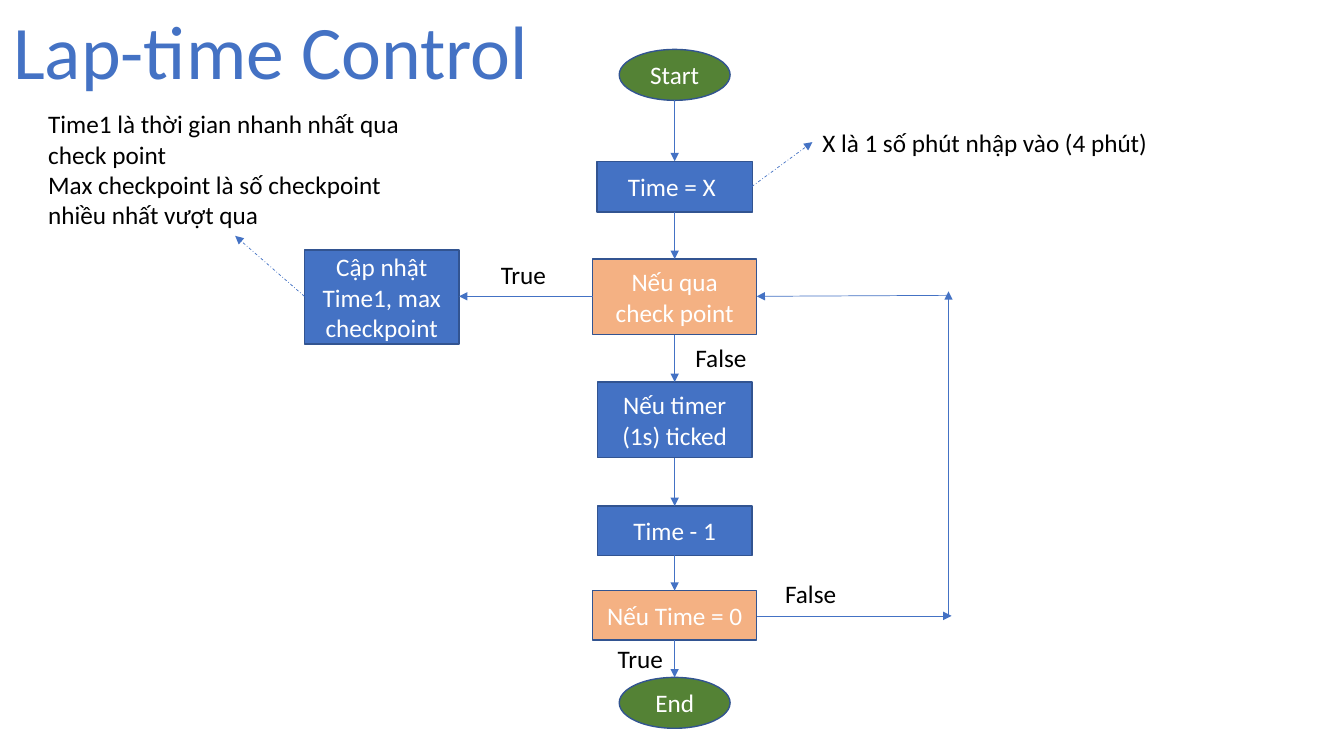
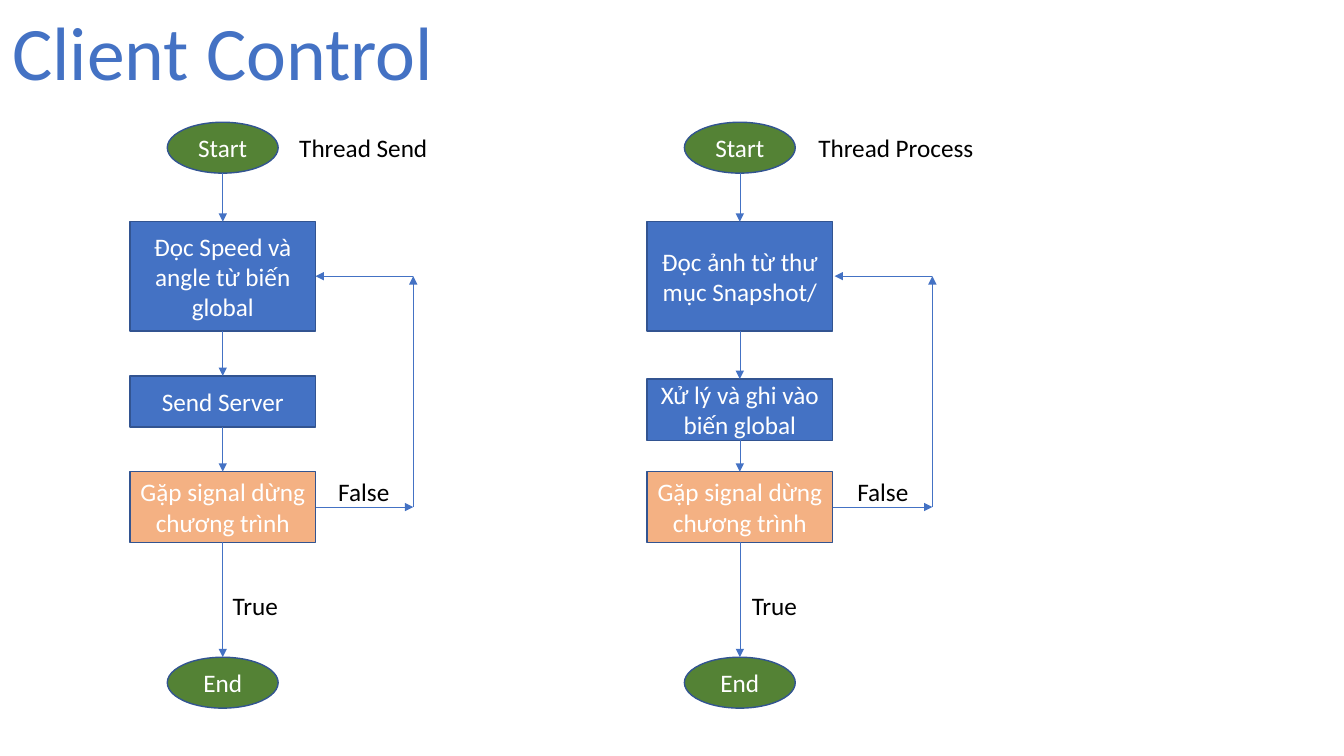
"""Build the lap-time and client control flowcharts."""
from itertools import pairwise

from lxml.etree import SubElement
from pptx import Presentation
from pptx.dml.color import RGBColor
from pptx.enum.dml import MSO_LINE
from pptx.enum.shapes import MSO_CONNECTOR, MSO_SHAPE
from pptx.enum.text import MSO_ANCHOR, MSO_AUTO_SIZE, PP_ALIGN
from pptx.oxml.ns import qn
from pptx.util import Inches, Pt

SLIDE_WIDTH, SLIDE_HEIGHT = Inches(13.333), Inches(7.5)
COLUMN, ROW = SLIDE_WIDTH / 40, SLIDE_HEIGHT / 30

BLUE = RGBColor(0x44, 0x72, 0xC4)
NAVY = RGBColor(0x32, 0x54, 0x91)
GREEN = RGBColor(0x54, 0x82, 0x35)
ORANGE = RGBColor(0xF4, 0xB1, 0x83)
WHITE = RGBColor(0xFF, 0xFF, 0xFF)
BLACK = RGBColor(0x00, 0x00, 0x00)

BODY_FONT = {"name": "Calibri", "size": Pt(18)}
TITLE_FONT = {"name": "Calibri", "size": Pt(54)}
NODE_FRAME = {"word_wrap": True, "vertical_anchor": MSO_ANCHOR.MIDDLE}
LABEL_FRAME = {"word_wrap": False, "auto_size": MSO_AUTO_SIZE.SHAPE_TO_FIT_TEXT}
NOTE_FRAME = {**LABEL_FRAME, "word_wrap": True}

TERMINAL = (MSO_SHAPE.OVAL, GREEN)
ACTION = (MSO_SHAPE.RECTANGLE, BLUE)
DECISION = (MSO_SHAPE.RECTANGLE, ORANGE)
TERMINAL_WIDTH, TERMINAL_HEIGHT = 3.3, 2.02
LABEL_HEIGHT, TRUE_WIDTH, FALSE_WIDTH = 1.6, 1.98, 2.13


def apply(target, values):
    """Set every format value on the target."""
    for attribute, value in values.items():
        setattr(target, attribute, value)


def place(*cells):
    """Turn alternating columns and rows into slide lengths."""
    return [round(cell * (ROW if index % 2 else COLUMN)) for index, cell in enumerate(cells)]


def write(frame, lines, frame_format, font_format, color, align):
    """Fill a text frame with one paragraph per line."""
    apply(frame, frame_format)
    for index, line in enumerate(lines):
        paragraph = frame.add_paragraph() if index else frame.paragraphs[0]
        paragraph.alignment = align
        run = paragraph.add_run()
        run.text = line
        apply(run.font, font_format)
        run.font.color.rgb = color


def add_label(slide, left, top, width, height, *lines, frame=LABEL_FRAME,
              font=BODY_FONT, color=BLACK, align=PP_ALIGN.LEFT):
    """Add free-standing text."""
    label = slide.shapes.add_textbox(*place(left, top, width, height))
    write(label.text_frame, lines, frame, font, color, align)


def add_title(slide, text, width, top=0):
    """Add the large slide title."""
    add_label(slide, 0, top, width, 4.04, text, font=TITLE_FONT, color=BLUE,
              align=PP_ALIGN.CENTER)


def add_node(slide, kind, text, left, top, width, height):
    """Add one flowchart step."""
    outline, color = kind
    node = slide.shapes.add_shape(outline, *place(left, top, width, height))
    node.shadow.inherit = False
    node.fill.solid()
    node.fill.fore_color.rgb = color
    node.line.color.rgb = NAVY
    node.line.width = Pt(1)
    write(node.text_frame, [text], NODE_FRAME, BODY_FONT, WHITE, PP_ALIGN.CENTER)


def add_arrow(slide, start, end, dash=None):
    """Add a thin arrow between two grid points."""
    arrow = slide.shapes.add_connector(MSO_CONNECTOR.STRAIGHT, *place(*start, *end))
    arrow.line.color.rgb = BLUE
    apply(arrow.line, {"width": Pt(0.5), "dash_style": dash})
    SubElement(arrow.line._get_or_add_ln(), qn("a:tailEnd"), type="triangle")
    SubElement(arrow._element.spPr, qn("a:effectLst"))


def add_flow(slide, axis, start_top, steps, end_top):
    """Stack steps on a vertical axis and join them with arrows."""
    terminal = TERMINAL_WIDTH, TERMINAL_HEIGHT
    stack = [(TERMINAL, "Start", start_top, *terminal), *steps,
             (TERMINAL, "End", end_top, *terminal)]
    for kind, text, top, width, height in stack:
        add_node(slide, kind, text, axis - width / 2, top, width, height)
    for upper, lower in pairwise(stack):
        add_arrow(slide, (axis, upper[2] + upper[4]), (axis, lower[2]))


def add_thread(slide, name, name_width, axis, riser, back, read, work, work_top, work_height):
    """Add one thread that loops until the stop signal."""
    width, loop_top, loop_bottom = 5.52, 10.96, 20.12
    add_flow(slide, axis, 4.85, [
        (ACTION, read, 8.8, width, 4.33),
        (ACTION, work, work_top, width, work_height),
        (DECISION, "Gặp signal dừng chương trình", 18.72, width, 2.8),
    ], 26.08)
    add_arrow(slide, (axis + width / 2, loop_bottom), (riser, loop_bottom))
    add_arrow(slide, (riser, loop_bottom), (riser, loop_top))
    add_arrow(slide, (riser, loop_top), (back, loop_top))
    add_label(slide, riser - 3.69, 5.04, name_width, LABEL_HEIGHT, name)
    add_label(slide, riser - 2.53, 18.72, FALSE_WIDTH, LABEL_HEIGHT, "False")
    add_label(slide, riser - 5.67, 23.24, TRUE_WIDTH, LABEL_HEIGHT, "True")


def build_lap_time(slide):
    """Draw the lap-time countdown."""
    add_title(slide, "Lap-time Control", 16.11, -0.04)
    add_flow(slide, 20.08, 1.96, [
        (ACTION, "Time = X ", 6.4, 4.62, 2.02),
        (DECISION, "Nếu qua check point", 10.28, 4.89, 3),
        (ACTION, "Nếu timer (1s) ticked", 15.16, 4.6, 3),
        (ACTION, "Time - 1", 20.08, 4.6, 1.96),
        (DECISION, "Nếu Time = 0", 23.44, 4.89, 1.96),
    ], 26.88)
    add_node(slide, ACTION, "Cập nhật Time1, max checkpoint", 9.06, 9.92, 4.6, 3.74)
    for start, end in [
        ((17.64, 11.76), (13.66, 11.76)),
        ((22.52, 24.44), (28.32, 24.44)),
        ((28.23, 24.48), (28.23, 11.56)),
        ((28.26, 11.72), (22.52, 11.76)),
    ]:
        add_arrow(slide, start, end)
    for start, end in [((22.38, 7.4), (24.18, 5.64)), ((9.06, 11.76), (7, 9.36))]:
        add_arrow(slide, start, end, MSO_LINE.DASH_DOT)
    add_label(slide, 24.18, 4.84, 10.41, LABEL_HEIGHT, "X là 1 số phút nhập vào (4 phút)")
    add_label(slide, 1.14, 4.12, 11.7, 5.24,
              "Time1 là thời gian nhanh nhất qua check point",
              "Max checkpoint là số checkpoint nhiều nhất vượt qua", frame=NOTE_FRAME)
    for left, top in [(14.61, 10.08), (18.09, 25.32)]:
        add_label(slide, left, top, TRUE_WIDTH, LABEL_HEIGHT, "True")
    for left, top in [(20.4, 13.4), (23.07, 22.76)]:
        add_label(slide, left, top, FALSE_WIDTH, LABEL_HEIGHT, "False")


def build_client(slide):
    """Draw the sending and processing threads."""
    add_title(slide, "Client Control", 13.26)
    add_thread(slide, "Thread Send", 4.47, 6.63, 12.3, 9.39,
               "Đọc Speed và angle từ biến global", "Send Server", 14.92, 2.02)
    add_thread(slide, "Thread Process", 5.28, 22.02, 27.75, 24.84,
               "Đọc ảnh từ thư mục Snapshot/", "Xử lý và ghi vào biến global", 15.04, 2.44)


def main():
    """Build and save the presentation."""
    deck = Presentation()
    apply(deck, {"slide_width": SLIDE_WIDTH, "slide_height": SLIDE_HEIGHT})
    for build in (build_lap_time, build_client):
        build(deck.slides.add_slide(deck.slide_layouts[6]))
    deck.save("out.pptx")


main()
